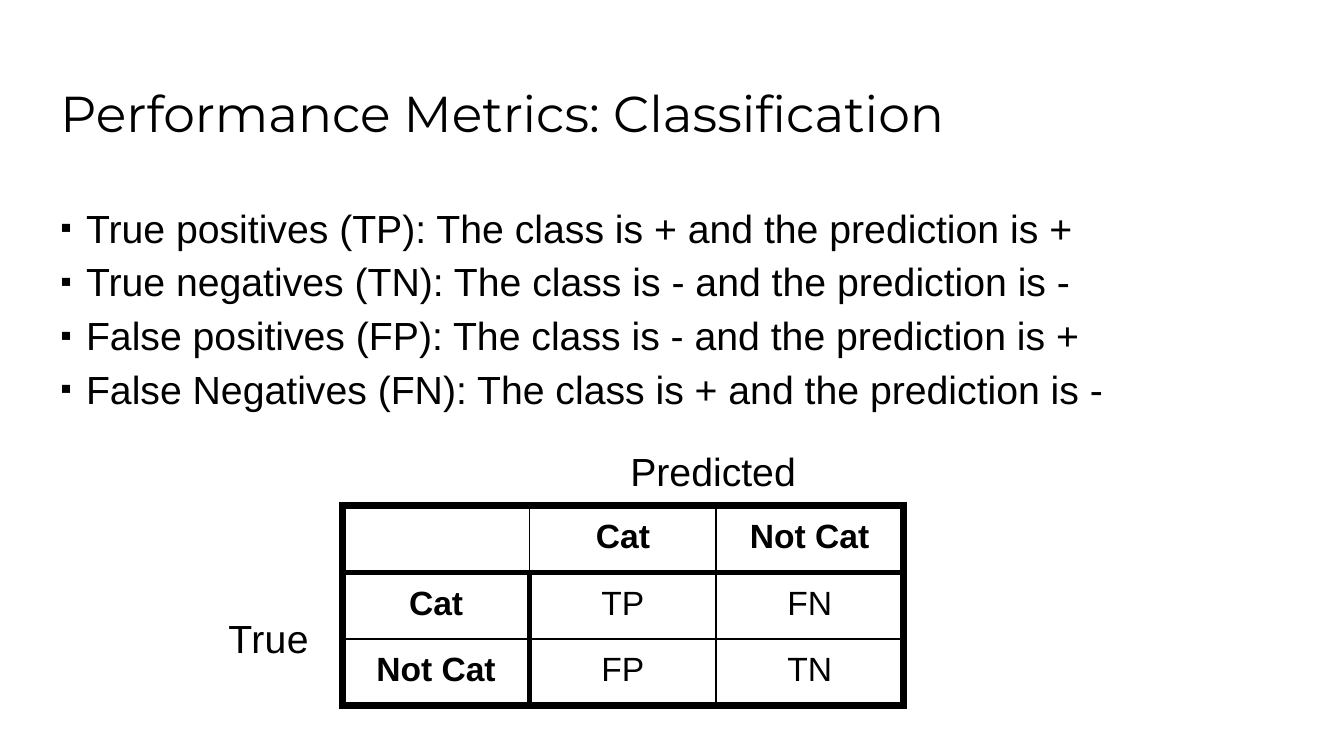
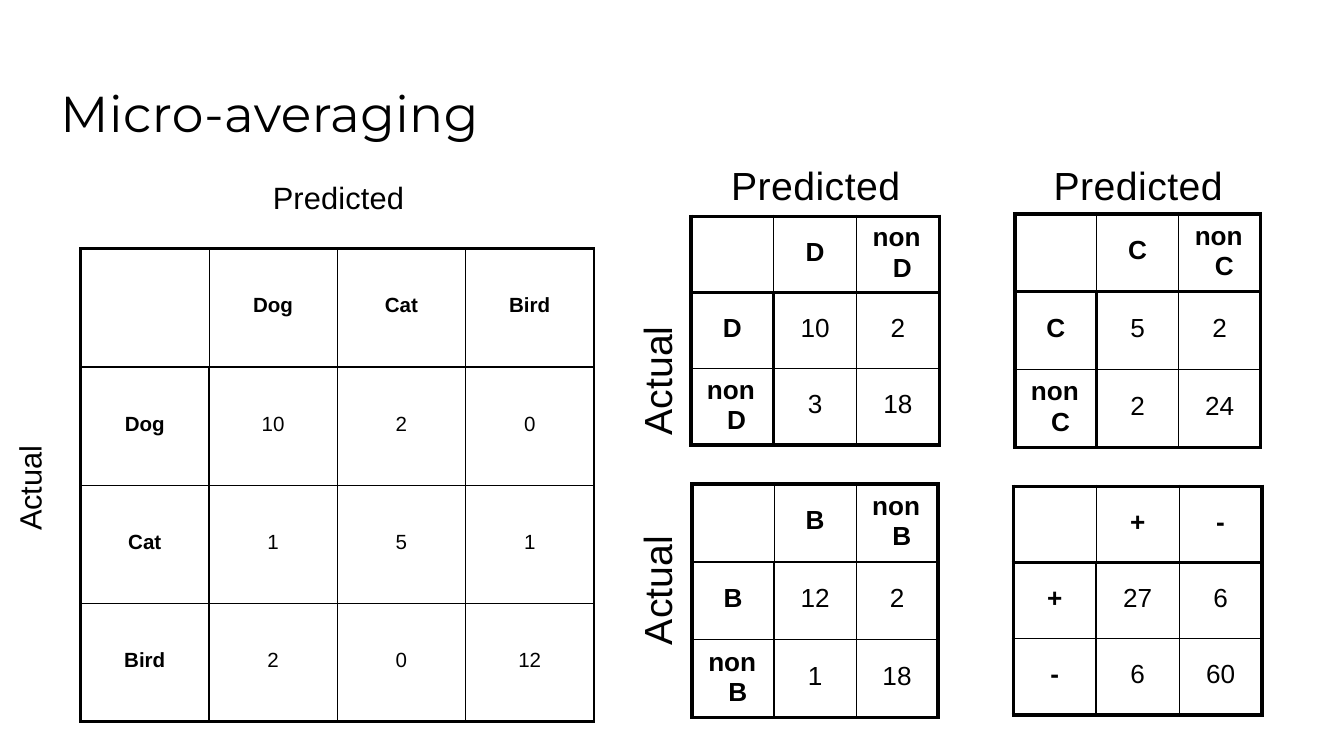
import pptx
import pptx.dml.color
import pptx.enum.text
import pptx.oxml
import pptx.oxml.ns
import pptx.util
from lxml import etree

PX = 9144  # 100 px to the inch
COLORS = {"ink": "000000", "paper": "FFFFFF"}
FONTS = {"title": "Montserrat", "body": "Arial"}
TITLE_ONLY, TITLE_AND_BODY = 5, 1

ALIGN = pptx.enum.text.PP_ALIGN
ANCHOR = pptx.enum.text.MSO_ANCHOR

# Border widths in points: outer frame, header divider, inner lines
HEAVY = {"outer": 4.25, "divider": 3, "inner": 1}
MEDIUM = {"outer": 2.25, "divider": 1.5, "inner": 0.5}
LIGHT = {"outer": 1.5, "divider": 1.5, "inner": 0.5}


def px(value):
    return pptx.util.Emu(round(value * PX))


def color(name):
    return pptx.dml.color.RGBColor.from_string(COLORS[name])


def add_child(parent, tag, **attributes):
    child = etree.SubElement(parent, pptx.oxml.ns.qn(tag))
    for name, value in attributes.items():
        child.set(name, str(value))
    return child


def set_indent(paragraph, left, first=0):
    properties = paragraph._p.get_or_add_pPr()
    properties.set("marL", str(px(left)))
    properties.set("indent", str(px(first)))
    return properties


def format_runs(paragraph, size, font="body", bold=False, spacing=0):
    for run in paragraph.runs:
        run.font.name = FONTS[font]
        run.font.size = pptx.util.Pt(size)
        run.font.bold = bold
        run.font.color.rgb = color("ink")
        if spacing:
            run._r.get_or_add_rPr().set("spc", str(round(spacing * 100)))


def place(shape, box):
    shape.left, shape.top, shape.width, shape.height = map(px, box)


def prepare_frame(text_frame, top_margin, left_margin=1):
    text_frame.margin_left = px(left_margin)
    text_frame.margin_top = px(top_margin)
    text_frame.margin_right = text_frame.margin_bottom = 0
    text_frame.vertical_anchor = ANCHOR.TOP
    text_frame.word_wrap = True
    text_frame.auto_size = pptx.enum.text.MSO_AUTO_SIZE.NONE


def add_slide(presentation, layout, title, title_width, spacing=0):
    """Slide with a white background and the shared title style."""
    slide = presentation.slides.add_slide(presentation.slide_layouts[layout])
    slide.background.fill.solid()
    slide.background.fill.fore_color.rgb = color("paper")
    shape = slide.shapes.title
    place(shape, (44, 59, title_width, 48))
    prepare_frame(shape.text_frame, 2)
    shape.text_frame.text = title
    paragraph = shape.text_frame.paragraphs[0]
    paragraph.alignment = ALIGN.LEFT
    format_runs(paragraph, 27, "title", spacing=spacing)
    return slide


def fill_definitions(shape, box, definitions, caption):
    """Bulleted definitions, closed by the caption of the matrix below."""
    place(shape, box)
    text_frame = shape.text_frame
    prepare_frame(text_frame, 6, left_margin=0)
    text_frame.text = "\n".join([*definitions, caption])
    *bullets, last = text_frame.paragraphs
    for index, paragraph in enumerate(bullets):
        properties = set_indent(paragraph, 20, -19)
        add_child(properties, "a:buSzPct", val=83000)
        add_child(properties, "a:buChar", char="▪")
        paragraph.space_before = pptx.util.Pt(3.5 if index else 0)
        format_runs(paragraph, 21)
    add_child(set_indent(last, 425), "a:buNone")
    last.space_before = pptx.util.Pt(19)
    format_runs(last, 21)


def add_label(slide, box, text, size, spacing=0, upward=False):
    """Axis label of a matrix, optionally reading upward."""
    text_frame = slide.shapes.add_textbox(*map(px, box)).text_frame
    prepare_frame(text_frame, 0 if upward else 2)
    if upward:
        text_frame._txBody.bodyPr.set("vert", "vert270")
    text_frame.text = text
    format_runs(text_frame.paragraphs[0], size, spacing=spacing)


def set_borders(cell, row, column, count, lines):
    """Frame outside, divider after the header row and column, thin lines inside."""
    def line_at(position, divides):
        if position in (0, count):
            return lines["outer"]
        return lines["divider" if position == 1 and divides else "inner"]

    properties = cell._tc.get_or_add_tcPr()
    sides = {
        "a:lnL": line_at(column, row > 0),
        "a:lnR": line_at(column + 1, row > 0),
        "a:lnT": line_at(row, True),
        "a:lnB": line_at(row + 1, True),
    }
    for tag, width in sides.items():
        line = add_child(properties, tag, w=pptx.util.Pt(width))
        add_child(add_child(line, "a:solidFill"), "a:srgbClr", val=COLORS["ink"])


def add_matrix(slide, box, classes, counts, size, lines):
    """Square confusion matrix with the classes as its header row and column."""
    rows = [["", *classes]] + [[name, *values] for name, values in zip(classes, counts)]
    count = len(rows)
    left, top, width, height = box
    table = slide.shapes.add_table(count, count, *map(px, box)).table
    table.first_row = table.horz_banding = False
    for column in table.columns:
        column.width = px(width / count)
    for row in table.rows:
        row.height = px(height / count)
    for row, values in enumerate(rows):
        for column, value in enumerate(values):
            cell = table.cell(row, column)
            set_borders(cell, row, column, count, lines)
            cell.fill.background()
            cell.margin_left = cell.margin_right = cell.margin_top = 0
            cell.margin_bottom = px(3)
            cell.vertical_anchor = ANCHOR.MIDDLE
            cell.text = str(value)
            paragraph = cell.text_frame.paragraphs[0]
            paragraph.alignment = ALIGN.CENTER
            if str(value).startswith("non "):
                # Hanging indent wraps the class letter below "non"
                paragraph.alignment = ALIGN.LEFT
                paragraph.line_spacing = 1.03
                set_indent(paragraph, 27, -15)
            format_runs(paragraph, size, bold=row == 0 or column == 0)


def build_classification(presentation):
    slide = add_slide(presentation, TITLE_AND_BODY,
                      "Performance Metrics: Classification", 738)
    fill_definitions(slide.placeholders[1], (44, 146, 779, 224), [
        "True positives (TP): The class is + and the prediction is +",
        "True negatives (TN): The class is - and the prediction is -",
        "False positives (FP): The class is - and the prediction is +",
        "False Negatives (FN): The class is + and the prediction is -",
    ], "Predicted")
    add_matrix(slide, (255, 376, 417, 149), ["Cat", "Not Cat"],
               [["TP", "FN"], ["FP", "TN"]], 18, HEAVY)
    add_label(slide, (169, 455, 62, 38), "True", 21, spacing=0.2)


def build_micro_averaging(presentation):
    slide = add_slide(presentation, TITLE_ONLY, "Micro-averaging", 332, spacing=0.25)

    # Matrix of all three classes
    add_matrix(slide, (60, 185, 382, 352), ["Dog", "Cat", "Bird"],
               [[10, 2, 0], [1, 5, 1], [2, 0, 12]], 11, LIGHT)
    add_label(slide, (7, 328, 29, 67), "Actual", 16.5, upward=True)
    add_label(slide, (202, 131, 101, 30), "Predicted", 16.5, spacing=0.1)

    # One-against-rest matrices and their sum
    matrices = [
        ((514, 161, 185, 170), ["D", "non D"], [[10, 2], [3, 18]]),
        ((515, 360, 183, 174), ["B", "non B"], [[12, 2], [1, 18]]),
        ((755, 159, 183, 174), ["C", "non C"], [[5, 2], [2, 24]]),
        ((754, 362, 185, 170), ["+", "-"], [[27, 6], [6, 60]]),
    ]
    for box, classes, counts in matrices:
        add_matrix(slide, box, classes, counts, 14, MEDIUM)
    for top in (238, 394):
        add_label(slide, (470, top, 37, 86), "Actual", 21, upward=True)
    for left in (543, 783):
        add_label(slide, (left, 118, 130, 38), "Predicted", 21, spacing=0.25)


def main():
    presentation = pptx.Presentation()
    presentation.slide_width = px(1000)
    presentation.slide_height = presentation.slide_width * 9 // 16
    build_classification(presentation)
    build_micro_averaging(presentation)
    presentation.save("out.pptx")


if __name__ == "__main__":
    main()
